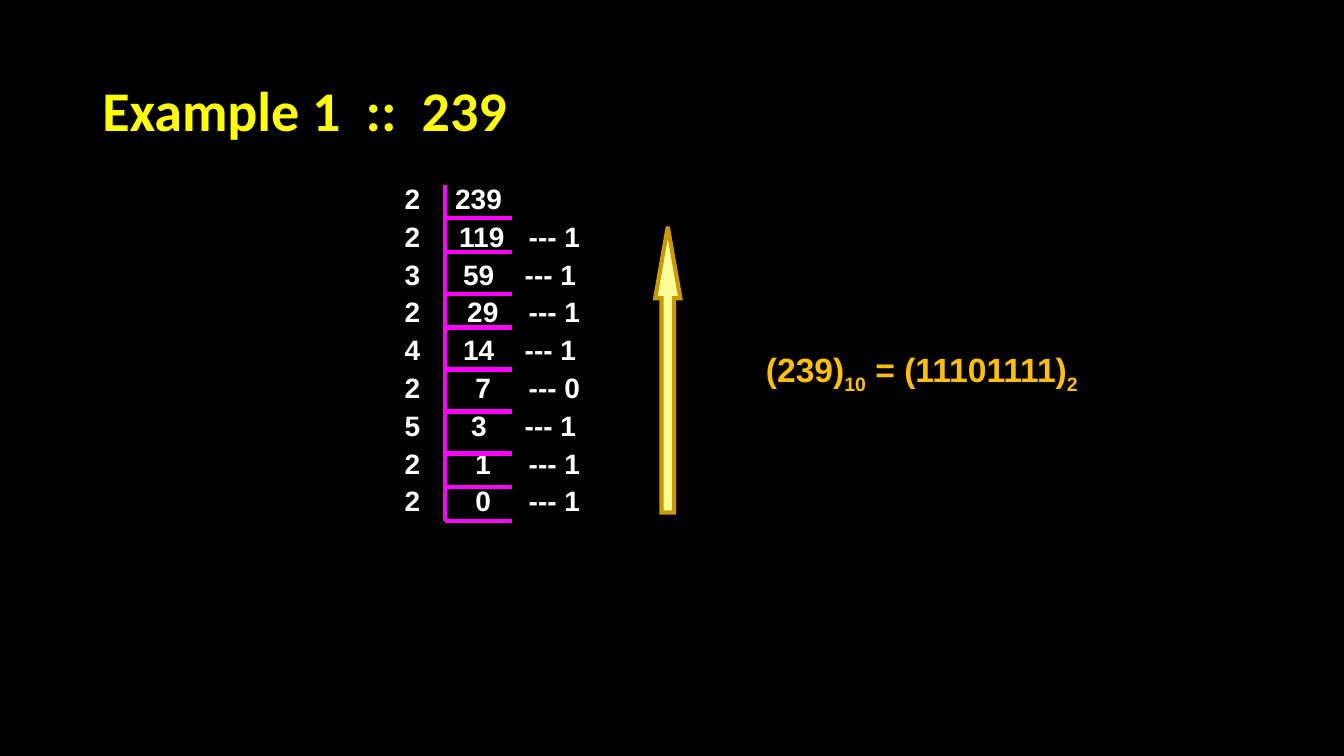
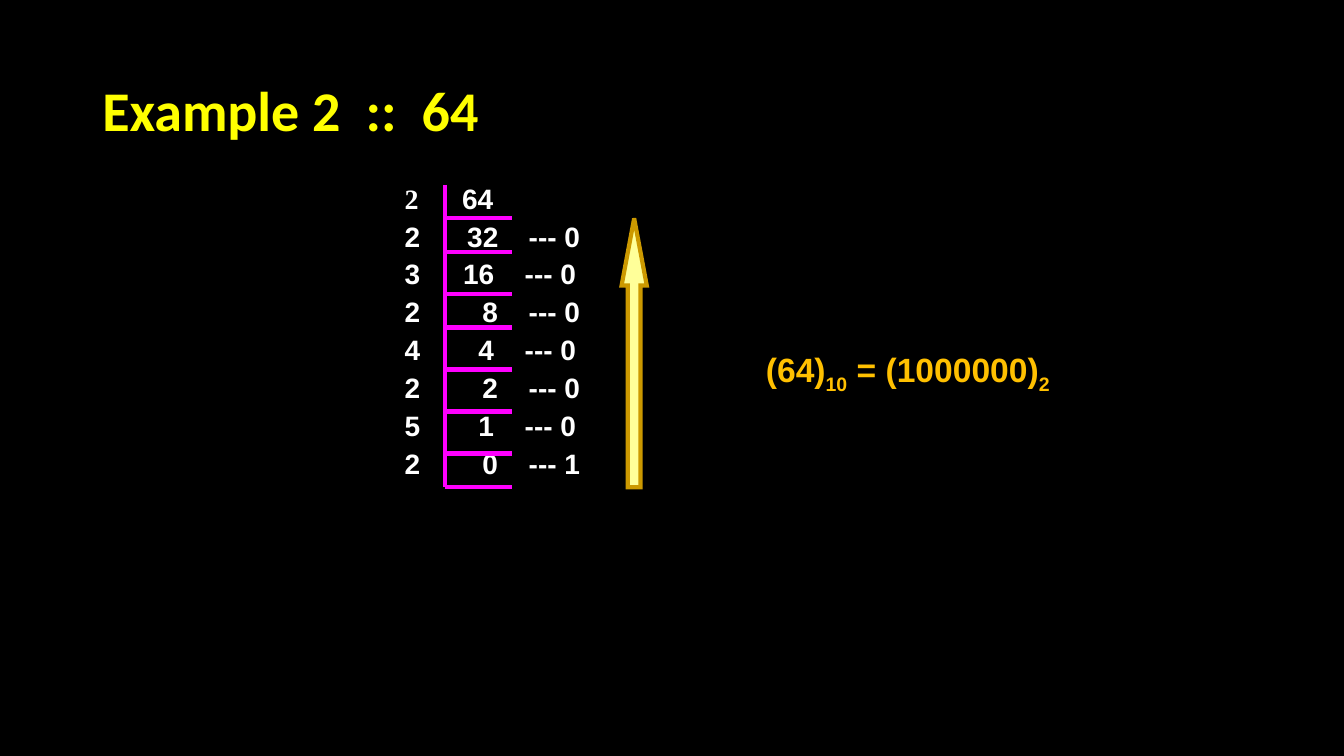
"""Build two slides that convert decimal numbers to binary by repeated division."""
from lxml import etree
from pptx import Presentation
from pptx.dml.color import RGBColor
from pptx.enum.shapes import MSO_CONNECTOR, MSO_SHAPE
from pptx.enum.text import MSO_ANCHOR
from pptx.oxml.ns import qn
from pptx.util import Inches, Pt

STRAIGHT = MSO_CONNECTOR.STRAIGHT
UP_ARROW = MSO_SHAPE.UP_ARROW
TOP, MIDDLE = MSO_ANCHOR.TOP, MSO_ANCHOR.MIDDLE

COLORS = {
    "background": "000000",
    "title": "FFFF00",
    "digits": "FFFFFF",
    "ladder": "FF00FF",
    "arrow": "FFFF99",
    "arrow_edge": "CC9900",
    "result": "FFC000",
}
UNIT = Inches(1) / 12
SPINE_LEFT, SPINE_TOP, RUNG_RIGHT = 53, 22, 61
RUNGS = (26, 30, 35, 39, 44, 49, 54, 58, 62)
ARROW_WIDTH = 3
REMAINDER_TAB, INSET_REMAINDER_TAB = 1.23, 1.19

EXAMPLES = [
    {
        "title": "Example 1  ::  239",
        "first_font": "Arial",
        "steps": [
            ("2", "239", 0.5, ""),
            ("2", "119", 0.54, "--- 1"),
            ("3", "59", 0.58, "--- 1"),
            ("2", "29", 0.62, "--- 1"),
            ("4", "14", 0.58, "--- 1"),
            ("2", "7", 0.7, "--- 0"),
            ("5", "3", 0.66, "--- 1"),
            ("2", "1", 0.7, "--- 1"),
            ("2", "0", 0.7, "--- 1"),
        ],
        "arrow": (78, 27, 61),
        "result": ("(239)", "10", " = (11101111)", "2"),
    },
    {
        "title": "Example 2  ::  64",
        "first_font": "Times New Roman",
        "steps": [
            ("2", "64", 0.57, ""),
            ("2", "32", 0.62, "--- 0"),
            ("3", "16", 0.58, "--- 0"),
            ("2", "8", 0.77, "--- 0"),
            ("4", "4", 0.73, "--- 0"),
            ("2", "2", 0.77, "--- 0"),
            ("5", "1", 0.73, "--- 0"),
            ("2", "0", 0.77, "--- 1"),
        ],
        "arrow": (74, 26, 58),
        "result": ("(64)", "10", " = (1000000)", "2"),
    },
]


def grid(*values):
    """Turn grid units into whole lengths."""
    return [round(value * UNIT) for value in values]


def color(name):
    """Return a named colour."""
    return RGBColor.from_string(COLORS[name])


def add_text(slide, box, paragraphs, *, size, fill, font="Arial",
             anchor=TOP, line_spacing=None, space_before=0):
    """Add bold text; each paragraph is a list of (text, run options)."""
    frame = slide.shapes.add_textbox(*grid(*box)).text_frame
    frame.word_wrap = True
    frame.vertical_anchor = anchor
    for index, runs in enumerate(paragraphs):
        paragraph = frame.paragraphs[0] if index == 0 else frame.add_paragraph()
        paragraph.line_spacing = line_spacing
        paragraph.space_before = Pt(space_before)
        for text, options in runs:
            run = paragraph.add_run()
            run.text = text
            run.font.name = options.get("font", font)
            run.font.size = Pt(size)
            run.font.bold = True
            run.font.color.rgb = color(fill)
            if "baseline" in options:
                run.font._element.set("baseline", str(options["baseline"]))
    return frame


def set_tabs(paragraph, positions):
    """Give a paragraph left tab stops, in inches."""
    tabs = etree.SubElement(paragraph._p.get_or_add_pPr(), qn("a:tabLst"))
    for position in positions:
        etree.SubElement(tabs, qn("a:tab"), pos=str(Inches(position)), algn="l")


def add_line(slide, *ends):
    """Draw one ladder line."""
    line = slide.shapes.add_connector(STRAIGHT, *grid(*ends))
    line.line.color.rgb = color("ladder")
    line.line.width = Pt(3)
    etree.SubElement(line._element.spPr, qn("a:effectLst"))


def add_steps(slide, example):
    """Write the divisions, with quotients and remainders on tab stops."""
    rows = []
    for index, (divisor, quotient, _, remainder) in enumerate(example["steps"]):
        font = example["first_font"] if index == 0 else "Arial"
        rest = f"\t{quotient}\t{remainder}" if remainder else f"\t{quotient}"
        rows.append([(divisor, {"font": font}), (rest, {})])
    frame = add_text(slide, (47, 21, 39, 4.5 * len(rows) + 1.2), rows,
                     size=20, fill="digits", space_before=3)
    for paragraph, step in zip(frame.paragraphs, example["steps"]):
        remainder_tab = REMAINDER_TAB if step[0] == "2" else INSET_REMAINDER_TAB
        set_tabs(paragraph, (step[2], remainder_tab))


def add_ladder(slide, rungs):
    """Draw the spine and a rung under each division."""
    for rung in rungs:
        add_line(slide, SPINE_LEFT, rung, RUNG_RIGHT, rung)
    add_line(slide, SPINE_LEFT, SPINE_TOP, SPINE_LEFT, rungs[-1])


def add_arrow(slide, left, top, bottom):
    """Draw the reading direction, with a head a quarter of its length."""
    height = bottom - top
    arrow = slide.shapes.add_shape(UP_ARROW, *grid(left, top, ARROW_WIDTH, height))
    arrow.shadow.inherit = False
    arrow.adjustments[1] = height / ARROW_WIDTH / 4
    arrow.fill.solid()
    arrow.fill.fore_color.rgb = color("arrow")
    arrow.line.color.rgb = color("arrow_edge")
    arrow.line.width = Pt(3)
    outline = arrow._element.spPr.find(qn("a:ln"))
    etree.SubElement(outline, qn("a:miter"), lim="800000")


def add_example(presentation, example):
    """Build one example slide."""
    slide = presentation.slides.add_slide(presentation.slide_layouts[6])
    slide.background.fill.solid()
    slide.background.fill.fore_color.rgb = color("background")
    add_text(slide, (11, 4.8, 138, 17.4), [[(example["title"], {})]], size=40,
             fill="title", font="Calibri", anchor=MIDDLE, line_spacing=0.9)
    add_steps(slide, example)
    add_ladder(slide, RUNGS[:len(example["steps"])])
    add_arrow(slide, *example["arrow"])
    result = [(text, {"baseline": -25000} if index % 2 else {})
              for index, text in enumerate(example["result"])]
    add_text(slide, (90, 41, 45, 6), [result], size=24, fill="result")


def main():
    """Build and save the presentation."""
    presentation = Presentation()
    presentation.slide_width, presentation.slide_height = grid(160, 90)
    for example in EXAMPLES:
        add_example(presentation, example)
    presentation.save("out.pptx")


if __name__ == "__main__":
    main()
